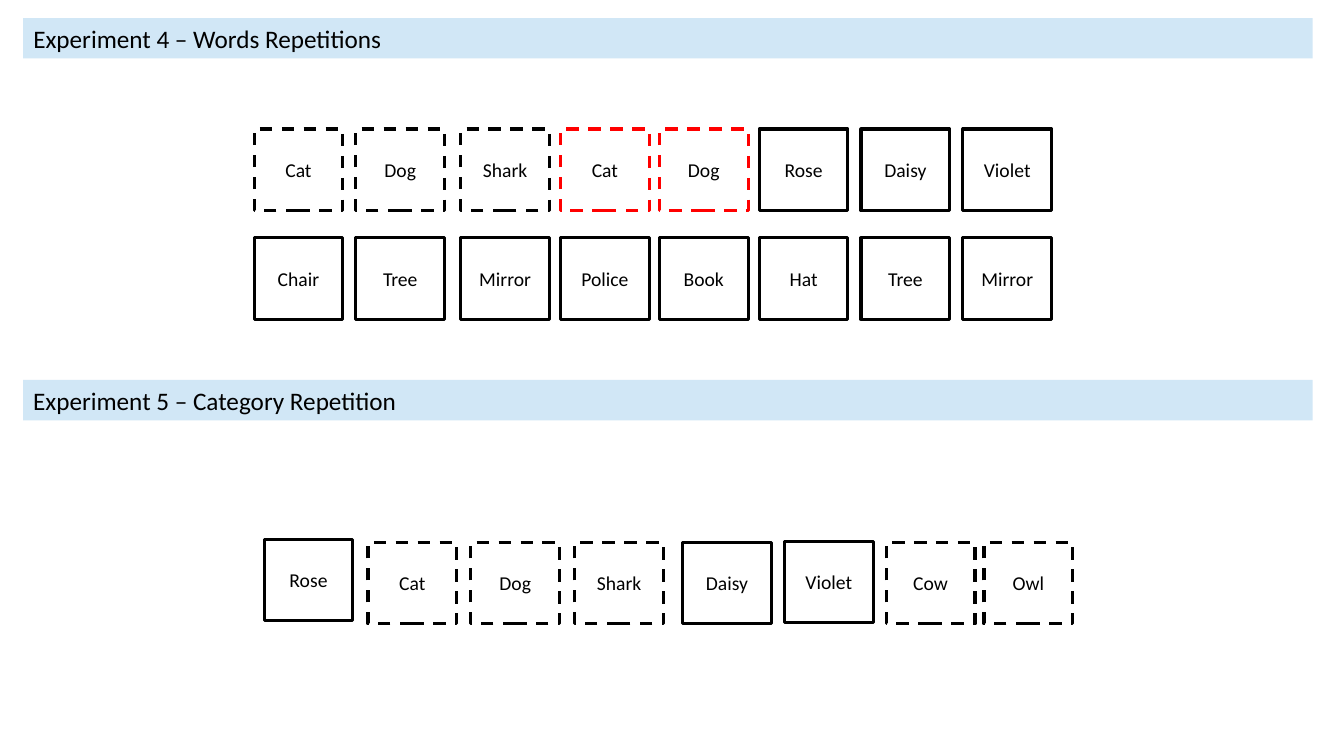
from pptx import Presentation
from pptx.dml.color import RGBColor
from pptx.enum.dml import MSO_LINE
from pptx.enum.shapes import MSO_SHAPE
from pptx.enum.text import MSO_ANCHOR, MSO_AUTO_SIZE, PP_ALIGN
from pptx.util import Inches, Pt

COLORS = {"band": "D1E7F6", "text": "000000", "black": "000000", "red": "FF0000"}
FONT = "Calibri"
CARD_WIDTH, CARD_HEIGHT = 0.88, 0.81

# Each card: word, outline colour, dashed outline
WORD_COLUMNS = [2.52, 3.53, 4.57, 5.56, 6.54, 7.53, 8.54, 9.55]
FIRST_WORDS = [
    ("Cat", "black", True), ("Dog", "black", True), ("Shark", "black", True),
    ("Cat", "red", True), ("Dog", "red", True),
    ("Rose", "black", False), ("Daisy", "black", False), ("Violet", "black", False),
]
SECOND_WORDS = [
    (word, "black", False)
    for word in ("Chair", "Tree", "Mirror", "Police", "Book", "Hat", "Tree", "Mirror")
]

CATEGORY_COLUMNS = [2.62, 3.65, 4.67, 5.7, 6.77, 7.78, 8.79, 9.76]
CATEGORY_TOPS = [5.35, 5.38, 5.38, 5.38, 5.38, 5.37, 5.38, 5.38]
CATEGORY_WORDS = [
    ("Rose", "black", False), ("Cat", "black", True), ("Dog", "black", True),
    ("Shark", "black", True), ("Daisy", "black", False), ("Violet", "black", False),
    ("Cow", "black", True), ("Owl", "black", True),
]


def rgb(name):
    return RGBColor.from_string(COLORS[name])


def write_text(shape, text, size, alignment):
    frame = shape.text_frame
    frame.word_wrap = True
    frame.auto_size = MSO_AUTO_SIZE.NONE
    frame.vertical_anchor = MSO_ANCHOR.MIDDLE
    paragraph = frame.paragraphs[0]
    paragraph.alignment = alignment
    run = paragraph.add_run()
    run.text = text
    run.font.name = FONT
    run.font.size = Pt(size)
    run.font.color.rgb = rgb("text")


def format_heading(shape, text, top):
    """Turn a title or text box into a full-width heading band."""
    shape.left, shape.top = Inches(0.23), Inches(top)
    shape.width, shape.height = Inches(12.79), Inches(0.4)
    shape.fill.solid()
    shape.fill.fore_color.rgb = rgb("band")
    write_text(shape, text, 18, PP_ALIGN.LEFT)


def add_card(slide, left, top, word, outline, dashed):
    card = slide.shapes.add_shape(
        MSO_SHAPE.RECTANGLE, Inches(left), Inches(top),
        Inches(CARD_WIDTH), Inches(CARD_HEIGHT),
    )
    card.shadow.inherit = False
    card.fill.background()
    card.line.color.rgb = rgb(outline)
    card.line.width = Pt(2.25)
    if dashed:
        card.line.dash_style = MSO_LINE.DASH
    # Narrow side margins keep each word on one line
    card.text_frame.margin_left = card.text_frame.margin_right = Inches(0.05)
    write_text(card, word, 14, PP_ALIGN.CENTER)


def add_card_row(slide, columns, tops, cards):
    for left, top, card in zip(columns, tops, cards):
        add_card(slide, left, top, *card)


def main():
    presentation = Presentation()
    presentation.slide_width = Inches(13.33)
    presentation.slide_height = Inches(7.5)
    slide = presentation.slides.add_slide(presentation.slide_layouts.get_by_name("Title Only"))

    format_heading(slide.shapes.title, "Experiment 4 – Words Repetitions", 0.18)
    for top, words in ((1.28, FIRST_WORDS), (2.36, SECOND_WORDS)):
        add_card_row(slide, WORD_COLUMNS, [top] * len(words), words)

    category_heading = slide.shapes.add_textbox(0, 0, 0, 0)
    format_heading(category_heading, "Experiment 5 – Category Repetition", 3.77)
    add_card_row(slide, CATEGORY_COLUMNS, CATEGORY_TOPS, CATEGORY_WORDS)

    presentation.save("out.pptx")


if __name__ == "__main__":
    main()
